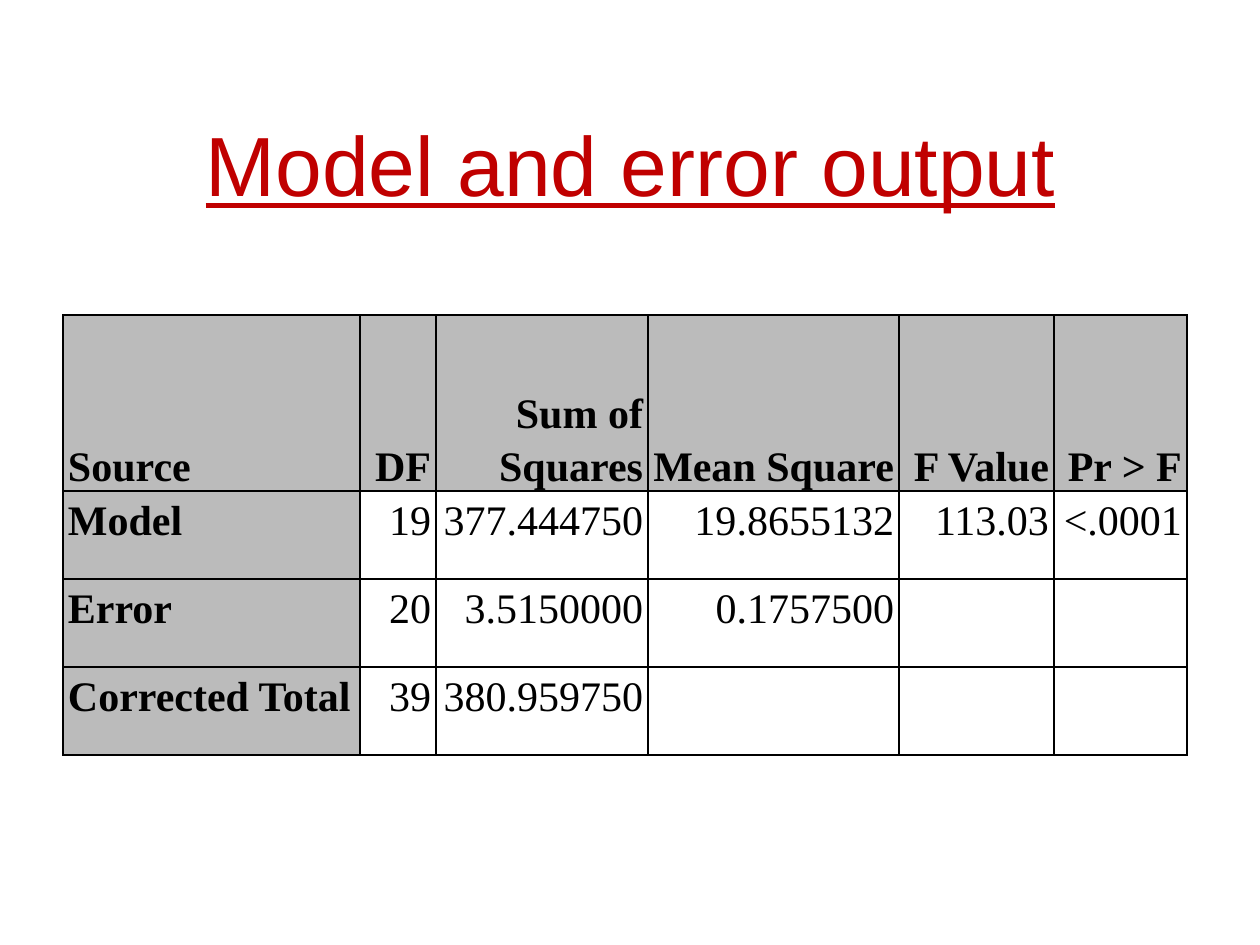
from dataclasses import dataclass

from lxml.etree import SubElement
from pptx import Presentation
from pptx.dml.color import RGBColor
from pptx.enum.text import MSO_ANCHOR, PP_ALIGN
from pptx.oxml.ns import qn
from pptx.util import Emu, Pt

SCALE = 914400 / 126  # EMU per px
RED = RGBColor(0xC0, 0x00, 0x00)
BLACK = RGBColor(0x00, 0x00, 0x00)
WHITE = RGBColor(0xFF, 0xFF, 0xFF)
GRAY = RGBColor(0xBB, 0xBB, 0xBB)

TITLE = {"name": "Arial", "size": Pt(48), "underline": True}
BODY = {"name": "Times New Roman", "size": Pt(24)}
SPACE = {"line_spacing": 1.15, "space_before": Pt(3), "space_after": Pt(3)}


@dataclass
class Column:
    width: int
    head: str
    cells: tuple[str, str, str]


COLUMNS = [
    Column(297, "Source", ("Model", "Error", "Corrected Total")),
    Column(76, "DF", ("19", "20", "39")),
    Column(212, "Sum of Squares", ("377.444750", "3.5150000", "380.959750")),
    Column(251, "Mean Square", ("19.8655132", "0.1757500", "")),
    Column(155, "F Value", ("113.03", "", "")),
    Column(133, "Pr > F", ("<.0001", "", "")),
]
HEIGHTS = [176, 88, 88, 88]


def px(count: int) -> Emu:
    return Emu(round(count * SCALE))


def apply(target, values: dict) -> None:
    for key, value in values.items():
        setattr(target, key, value)


def write(para, text: str, font: dict, color: RGBColor) -> None:
    run = para.add_run()
    run.text = text
    apply(run.font, font)
    run.font.color.rgb = color


def border(cell) -> None:
    props = cell._tc.get_or_add_tcPr()
    for place, side in enumerate(("lnL", "lnR", "lnT", "lnB")):
        line = SubElement(props, qn(f"a:{side}"), w=str(Pt(1)))
        fill = SubElement(line, qn("a:solidFill"))
        SubElement(fill, qn("a:srgbClr"), val=str(BLACK))
        props.insert(place, line)  # borders come before the fill


def fill_cell(cell, text: str, top: bool, left: bool) -> None:
    label = top or left
    apply(cell, {
        "margin_left": px(5), "margin_right": px(5),
        "margin_top": 0, "margin_bottom": 0,
        "vertical_anchor": MSO_ANCHOR.BOTTOM if top else MSO_ANCHOR.TOP,
    })
    cell.fill.solid()
    cell.fill.fore_color.rgb = GRAY if label else WHITE
    border(cell)
    if text:
        para = cell.text_frame.paragraphs[0]
        align = PP_ALIGN.LEFT if left else PP_ALIGN.RIGHT
        apply(para, SPACE | {"alignment": align})
        write(para, text, BODY | {"bold": label}, BLACK)


def add_title(slide, text: str) -> None:
    box = slide.shapes.add_textbox(px(95), px(84), px(1071), px(158))
    frame = box.text_frame
    apply(frame, {"word_wrap": True, "vertical_anchor": MSO_ANCHOR.MIDDLE})
    para = frame.paragraphs[0]
    para.alignment = PP_ALIGN.CENTER
    write(para, text, TITLE, RED)


def add_grid(slide, columns: list[Column]) -> None:
    width = sum(column.width for column in columns)
    grid = slide.shapes.add_table(len(HEIGHTS), len(columns), px(63), px(315),
                                  px(width), px(sum(HEIGHTS))).table
    for row, height in zip(grid.rows, HEIGHTS):
        row.height = px(height)
    for x, column in enumerate(columns):
        grid.columns[x].width = px(column.width)
        for y, text in enumerate((column.head, *column.cells)):
            fill_cell(grid.cell(y, x), text, y == 0, x == 0)


def main() -> None:
    deck = Presentation()
    apply(deck, {"slide_width": px(1260), "slide_height": px(945)})
    slide = deck.slides.add_slide(deck.slide_layouts[6])

    # Heading
    add_title(slide, "Model and error output")

    # Variance table
    add_grid(slide, COLUMNS)

    deck.save("out.pptx")


if __name__ == "__main__":
    main()
